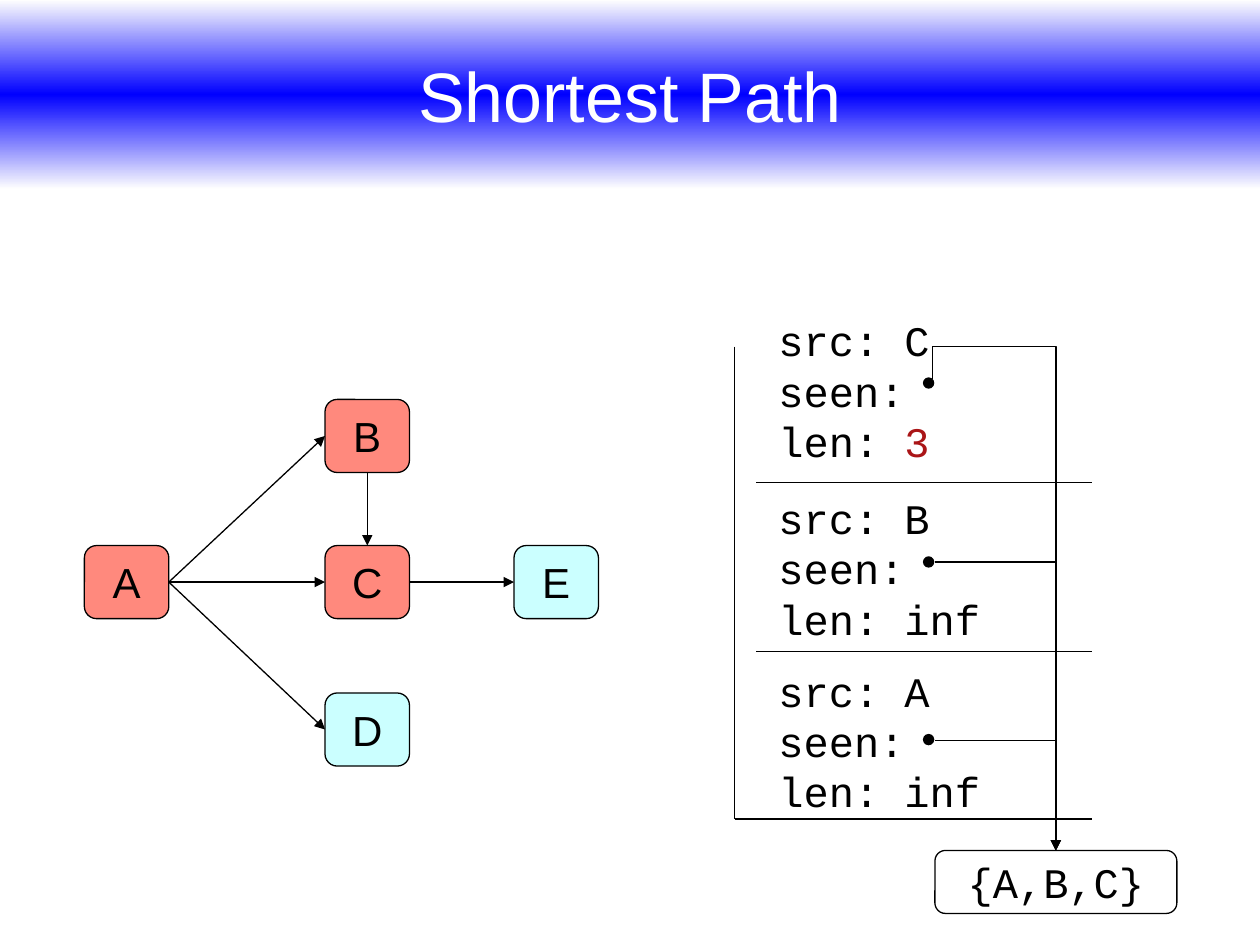
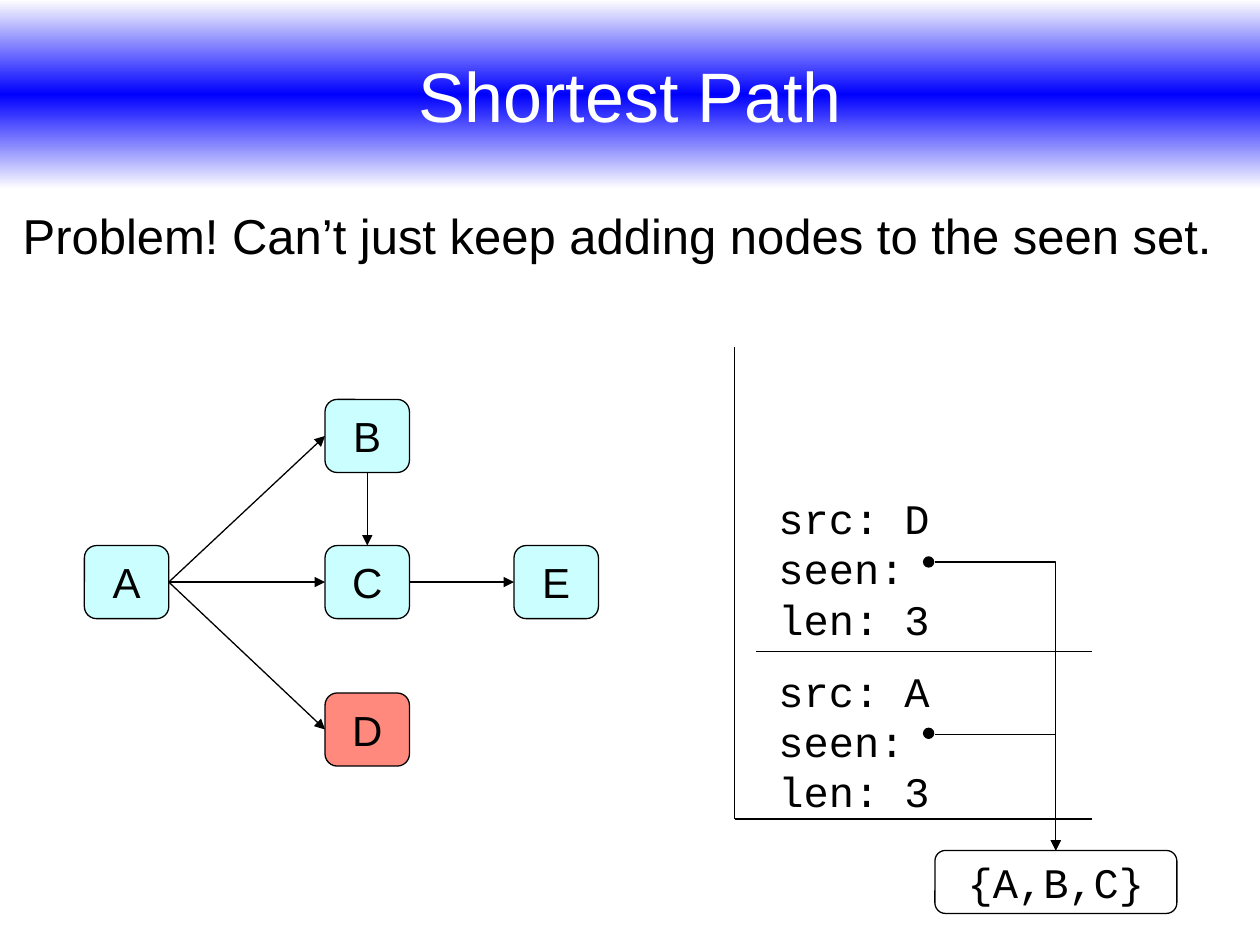
"""Builds two slides that trace a shortest path search with its call stack."""
import copy

import lxml.etree
import pptx
import pptx.dml.color
import pptx.enum.shapes
import pptx.enum.text
import pptx.oxml.ns
import pptx.util

Inches = pptx.util.Inches
Pt = pptx.util.Pt
qn = pptx.oxml.ns.qn
SHAPE = pptx.enum.shapes.MSO_SHAPE
LINK = pptx.enum.shapes.MSO_CONNECTOR
ALIGN = pptx.enum.text.PP_ALIGN
ANCHOR = pptx.enum.text.MSO_ANCHOR
FIT = pptx.enum.text.MSO_AUTO_SIZE

COLORS = {
    "ink": "000000",
    "paper": "FFFFFF",
    "edge": "FEFEFE",
    "band": "0000FF",
    "idle": "CBFFFF",
    "seen": "FF897D",
    "hot": "AA1517",
}
SANS, MONO = "Arial", "Courier New"
NODE_W, NODE_H = 0.67, 0.58
NODES = {"A": (0.67, 4.33), "B": (2.58, 3.17), "C": (2.58, 4.33),
         "D": (2.58, 5.5), "E": (4.08, 4.33)}
EDGES = ["AB", "AC", "AD", "CE"]
SET_X, SET_TOP = 8.38, 6.75


def color(name):
    return pptx.dml.color.RGBColor.from_string(COLORS[name])


def write(frame, text, size=24, font=SANS, ink="ink", align=ALIGN.LEFT,
          anchor=ANCHOR.TOP, wrap=False, fit=FIT.NONE, hot=None):
    frame.word_wrap = wrap
    frame.auto_size = fit
    frame.vertical_anchor = anchor
    for i, line in enumerate(text.split("\n")):
        para = frame.add_paragraph() if i else frame.paragraphs[0]
        para.alignment = align
        for part in line.partition(hot) if hot else [line]:
            if part:
                run = para.add_run()
                run.text = part
                run.font.size = Pt(size)
                run.font.name = font
                run.font.color.rgb = color("hot" if part == hot else ink)


class Deck:
    def __init__(self):
        self.show = pptx.Presentation()
        self.show.slide_width = Inches(10)
        self.show.slide_height = Inches(7.5)
        self.slide = None

    def start(self, title, body=None):
        layout = self.show.slide_layouts[1 if body else 5]
        self.slide = self.show.slides.add_slide(layout)
        self.title(title)
        if body:
            self.body(body)

    def place(self, item, x, y, w, h):
        item.left, item.top = Inches(x), Inches(y)
        item.width, item.height = Inches(w), Inches(h)

    def title(self, text):
        band = self.slide.shapes.title
        self.place(band, 0, 0, 10, 1.5)
        band.fill.gradient()
        band.fill.gradient_angle = 90
        stops = band._element.spPr.find(".//" + qn("a:gsLst"))
        stops.insert(1, copy.deepcopy(stops[0]))
        for stop, spot, name in zip(band.fill.gradient_stops, (0, 0.5, 1),
                                    ("edge", "band", "edge")):
            stop.position = spot
            stop.color.rgb = color(name)
        write(band.text_frame, text, size=40, ink="paper", wrap=True,
              align=ALIGN.CENTER, anchor=ANCHOR.MIDDLE)

    def body(self, text):
        box = self.slide.placeholders[1]
        self.place(box, 0.08, 1.67, 9.83, 0.5)
        write(box.text_frame, text, size=28, wrap=True)
        para = box.text_frame.paragraphs[0]
        para.line_spacing = 0.8
        para.space_before = Pt(0)
        props = para._p.get_or_add_pPr()
        props.set("marL", str(Inches(0.38)))
        props.set("indent", str(-Inches(0.38)))
        lxml.etree.SubElement(props, qn("a:buNone"))

    def shape(self, kind, x, y, w, h, fill, host=None):
        item = (host or self.slide).shapes.add_shape(
            kind, Inches(x), Inches(y), Inches(w), Inches(h))
        item.shadow.inherit = False
        item.fill.solid()
        item.fill.fore_color.rgb = color(fill)
        item.line.color.rgb = color("ink")
        item.line.width = Pt(0.75)
        return item

    def box(self, text, x, y, w, h, fill, font=SANS):
        item = self.shape(SHAPE.ROUNDED_RECTANGLE, x, y, w, h, fill)
        write(item.text_frame, text, font=font, align=ALIGN.CENTER,
              anchor=ANCHOR.MIDDLE)

    def line(self, x1, y1, x2, y2, arrow=False, kind=LINK.STRAIGHT):
        item = self.slide.shapes.add_connector(
            kind, Inches(x1), Inches(y1), Inches(x2), Inches(y2))
        item.line.color.rgb = color("ink")
        item.line.width = Pt(0.75)
        props = item._element.spPr
        if arrow:
            lxml.etree.SubElement(props.find(qn("a:ln")), qn("a:tailEnd"),
                                  type="triangle")
        lxml.etree.SubElement(props, qn("a:effectLst"))
        return props

    def bend(self, x, y):
        props = self.line(x, y, SET_X, SET_TOP, True, LINK.ELBOW)
        props.find(qn("a:prstGeom")).set("prst", "bentConnector2")

    def loop(self, x, y):
        wide, high = SET_X - x, SET_TOP - y
        mid_x, mid_y = x + wide / 2, y + high / 2
        props = self.line(mid_x + high / 2, mid_y - wide / 2,
                          mid_x - high / 2, mid_y + wide / 2,
                          True, LINK.ELBOW)
        props.find(qn("a:xfrm")).set("rot", str(270 * 60000))
        lxml.etree.SubElement(props.find(".//" + qn("a:avLst")), qn("a:gd"),
                              name="adj1", fmla="val -7000")

    def graph(self, seen):
        for start, end in EDGES:
            x1, y1 = NODES[start]
            x2, y2 = NODES[end]
            self.line(x1 + NODE_W, y1 + NODE_H / 2, x2, y2 + NODE_H / 2, True)
        x, y = NODES["B"]
        self.line(x + NODE_W / 2, y + NODE_H,
                  x + NODE_W / 2, NODES["C"][1], True)
        for name, (x, y) in NODES.items():
            self.box(name, x, y, NODE_W, NODE_H,
                     "seen" if name in seen else "idle")

    def call(self, src, size, top, dot, hot=None):
        group = self.slide.shapes.add_group_shape()
        text = f"src: {src}\nseen:\nlen: {size}"
        wide = 0.2 * max(map(len, text.split("\n"))) + 0.2
        note = group.shapes.add_textbox(Inches(6.08), Inches(top),
                                        Inches(wide), Inches(1.3))
        write(note.text_frame, text, font=MONO, fit=FIT.SHAPE_TO_FIT_TEXT,
              hot=hot)
        self.shape(SHAPE.OVAL, 7.33, dot, 0.08, 0.08, "ink", group)

    def stack(self, rules):
        self.line(5.83, 2.75, 5.83, 6.5)
        self.line(5.83, 6.5, 8.67, 6.5)
        for y in rules:
            self.line(6, y, 8.67, y)
        self.box("{A,B,C}", 7.42, SET_TOP, 1.92, 0.5, "paper", MONO)


def main():
    deck = Deck()

    deck.start("Shortest Path")
    deck.graph("ABC")
    deck.stack([5.17, 3.83])
    deck.call("A", "inf", 5.23, 5.83)
    deck.call("B", "inf", 3.86, 4.42)
    deck.call("C", "3", 2.45, 3, hot="3")
    deck.bend(7.42, 5.88)
    deck.bend(7.42, 4.46)
    deck.loop(7.4, 3.01)

    deck.start("Shortest Path",
               "Problem! Can’t just keep adding nodes to the seen set.")
    deck.graph("D")
    deck.stack([5.17])
    deck.call("A", "3", 5.23, 5.78)
    deck.call("D", "3", 3.86, 4.42)
    deck.bend(7.42, 5.83)
    deck.bend(7.42, 4.46)

    deck.show.save("out.pptx")


if __name__ == "__main__":
    main()
